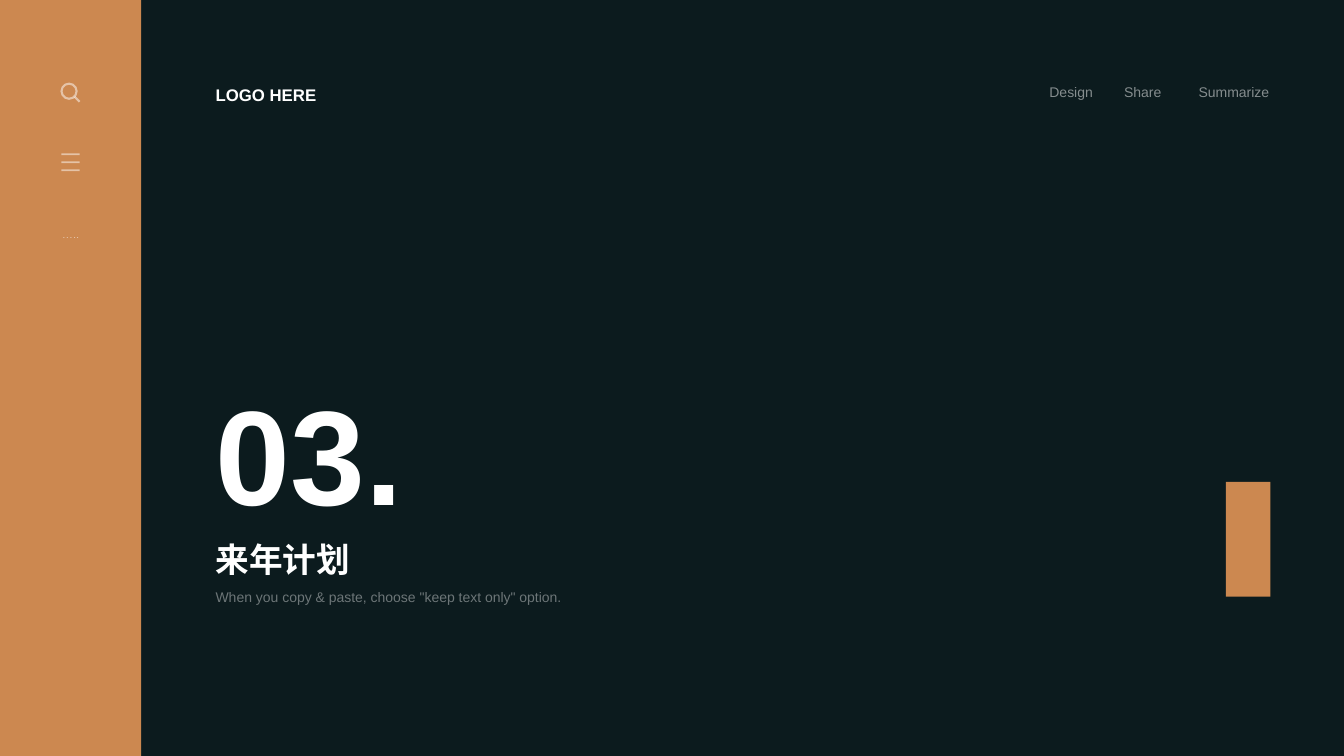
"""Build the dark section slide that opens chapter 03."""
from lxml import etree
from pptx import Presentation
from pptx import util as u
from pptx.dml.color import RGBColor
from pptx.enum import shapes, text
from pptx.oxml import ns

NIGHT = RGBColor(0x0C, 0x1B, 0x1E)
COPPER = RGBColor(0xCC, 0x88, 0x50)
WHITE = RGBColor(0xFF, 0xFF, 0xFF)


class SectionSlide:
    """Hold the style and the current slide, and draw its elements."""

    font = "Arial"

    def __init__(self, deck):
        self.slide = deck.slides.add_slide(deck.slide_layouts[5])
        self.slide.background.fill.solid()
        self.slide.background.fill.fore_color.rgb = NIGHT

    def paint(self, fill, color, opacity=100):
        """Give a fill a solid colour, translucent below 100 percent."""
        fill.solid()
        fill.fore_color.rgb = color
        if opacity < 100:
            for tone in fill._xPr.iter(ns.qn("a:srgbClr")):
                etree.SubElement(tone, ns.qn("a:alpha"), val=str(opacity * 1000))

    def block(self, left, top, width, height):
        """Add a copper rectangle."""
        bar = self.slide.shapes.add_shape(
            shapes.MSO_SHAPE.RECTANGLE, *map(u.Inches, (left, top, width, height)))
        bar.shadow.inherit = False
        self.paint(bar.fill, COPPER)
        bar.line.fill.background()

    def ring(self, left, top, size, weight):
        """Add a translucent circle outline."""
        lens = self.slide.shapes.add_shape(
            shapes.MSO_SHAPE.OVAL, *map(u.Inches, (left, top, size, size)))
        lens.shadow.inherit = False
        lens.fill.background()
        lens.line.width = u.Pt(weight)
        self.paint(lens.line.fill, WHITE, 50)

    def stroke(self, x1, y1, x2, y2, weight):
        """Add a translucent straight line."""
        line = self.slide.shapes.add_connector(
            shapes.MSO_CONNECTOR.STRAIGHT, *map(u.Inches, (x1, y1, x2, y2)))
        line.line.width = u.Pt(weight)
        self.paint(line.line.fill, WHITE, 50)
        etree.SubElement(line._element.spPr, ns.qn("a:effectLst"))

    def label(self, words, box, size, opacity=100, bold=False, wrap=True, spacing=1.0,
              anchor=text.MSO_ANCHOR.TOP, align=text.PP_ALIGN.LEFT, holder=None):
        """Set one paragraph in a new text box or in the given placeholder."""
        place = [u.Inches(length) for length in box]
        holder = holder or self.slide.shapes.add_textbox(*place)
        holder.left, holder.top, holder.width, holder.height = place
        frame = holder.text_frame
        frame.text = words
        frame.word_wrap = wrap
        frame.auto_size = text.MSO_AUTO_SIZE.SHAPE_TO_FIT_TEXT
        frame.vertical_anchor = anchor
        paragraph = frame.paragraphs[0]
        paragraph.alignment = align
        paragraph.line_spacing = spacing
        paragraph.font.name = self.font
        paragraph.font.size = u.Pt(size)
        paragraph.font.bold = bold
        self.paint(paragraph.font.fill, WHITE, opacity)


def main():
    deck = Presentation()
    deck.slide_width, deck.slide_height = u.Inches(13.33), u.Inches(7.5)
    section = SectionSlide(deck)

    section.block(0, 0, 1.4, 7.5)
    section.label("来年计划", (2.04, 5.34, 6.27, 0.46), 24, bold=True, spacing=0.9,
                  anchor=text.MSO_ANCHOR.BOTTOM, holder=section.slide.shapes.title)
    section.label('When you copy & paste, choose "keep text only" option.',
                  (2.04, 5.81, 6.27, 0.25), 10, opacity=40, spacing=0.9)
    section.label("LOGO HERE", (2.04, 0.81, 1.2, 0.28), 12, bold=True, wrap=False,
                  spacing=0.9, anchor=text.MSO_ANCHOR.MIDDLE)
    for index, (entry, width) in enumerate(
            [("Design", 0.68), ("Share", 0.68), ("Summarize", 0.93)]):
        section.label(entry, (10.31 + 0.74 * index, 0.78, width, 0.27), 10, opacity=50)
    section.label("03.", (2.04, 3.63, 2.07, 1.72), 96, bold=True, wrap=False)
    section.block(12.16, 4.78, 0.44, 1.14)

    section.ring(0.61, 0.83, 0.15, 1.5)
    section.stroke(0.74, 0.96, 0.79, 1.01, 1.5)
    for row in range(3):
        height = 1.53 + 0.08 * row
        section.stroke(0.61, height, 0.79, height, 1.25)
    section.label("…..", (0.51, 2.21, 0.38, 0.24), 8, opacity=50, wrap=False,
                  align=text.PP_ALIGN.CENTER)
    deck.save("out.pptx")


if __name__ == "__main__":
    main()
